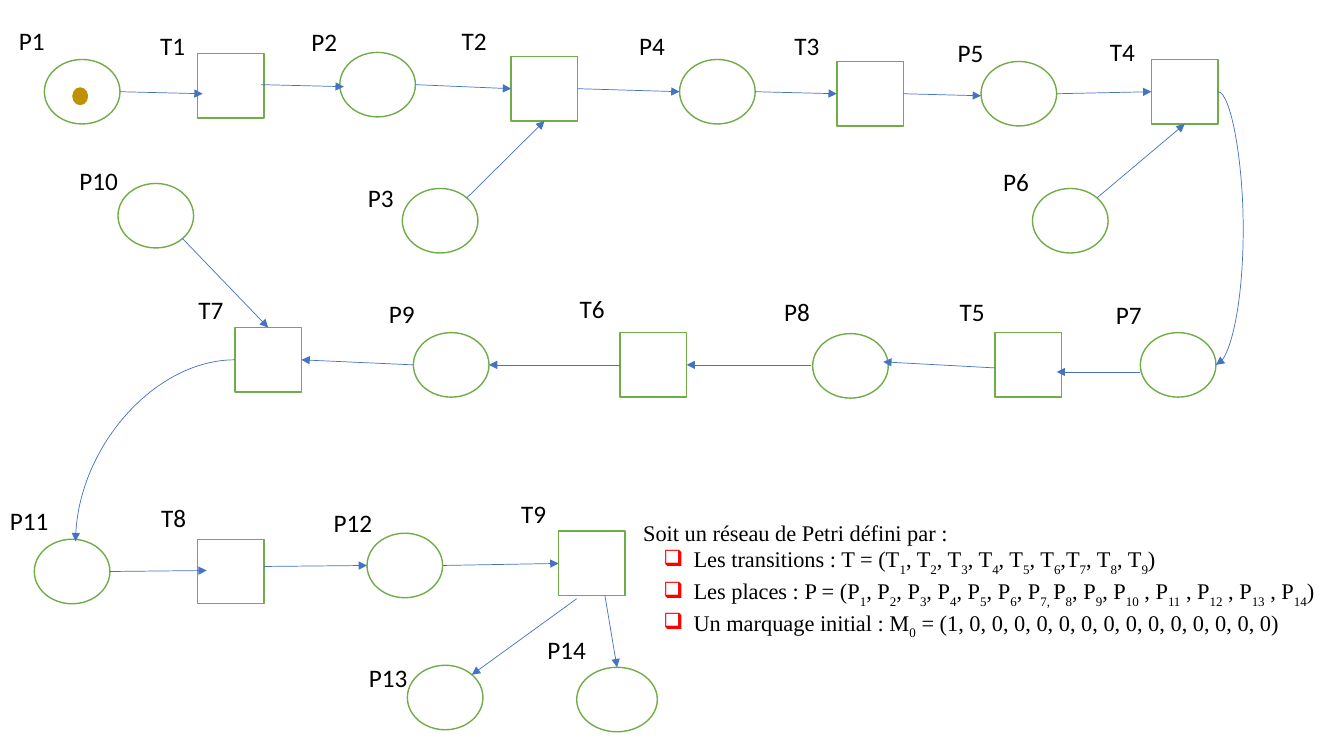
import math
import pptx
import pptx.dml.color
import pptx.enum.shapes
import pptx.enum.text
import pptx.oxml
import pptx.oxml.ns
import pptx.util
from lxml import etree

Inches = pptx.util.Inches
Pt = pptx.util.Pt
SHAPE = pptx.enum.shapes.MSO_SHAPE
CONNECTOR = pptx.enum.shapes.MSO_CONNECTOR
GREEN, BLUE, GOLD, RED = "70AD47", "4472C4", "BF9000", "FF0000"
BLACK, WHITE = "000000", "FFFFFF"
NODE_H, PLACE_W, TRANSITION_W = 0.64, 0.75, 0.66
LABEL_W, LABEL_H = 0.66, 0.4

# name: node left, node top, label left, label top
NODES = {
    "P1": (0.44, 0.59, 0.09, 0.2), "T1": (1.96, 0.53, 1.49, 0.25),
    "P2": (3.37, 0.52, 2.99, 0.21), "T2": (5.07, 0.56, 4.48, 0.2),
    "P4": (6.74, 0.59, 6.24, 0.25), "T3": (8.3, 0.61, 7.78, 0.25),
    "P5": (9.73, 0.61, 9.4, 0.32), "T4": (11.42, 0.59, 10.91, 0.31),
    "P10": (1.17, 1.82, 0.69, 1.59), "P3": (3.99, 1.87, 3.55, 1.76),
    "P6": (10.24, 1.87, 9.85, 1.6), "T7": (2.33, 3.25, 1.87, 2.87),
    "P9": (4.1, 3.3, 3.76, 2.91), "T6": (6.15, 3.3, 5.65, 2.86),
    "P8": (8.06, 3.31, 7.68, 2.89), "T5": (9.87, 3.3, 9.42, 2.89),
    "P7": (11.31, 3.3, 10.97, 2.92), "P11": (0.34, 5.35, 0, 4.96),
    "T8": (1.96, 5.35, 1.5, 4.93), "P12": (3.64, 5.29, 3.21, 4.98),
    "T9": (5.54, 5.27, 5.07, 4.89), "P13": (4.04, 6.6, 3.56, 6.52),
    "P14": (5.72, 6.62, 5.33, 6.24),
}
WIDE_PLACES = {"P14": 0.8}

SIDES = {"top": (0, -1), "left": (-1, 0), "bottom": (0, 1), "right": (1, 0),
         "upper right": (math.sqrt(0.5), -math.sqrt(0.5)),
         "lower right": (math.sqrt(0.5), math.sqrt(0.5))}
SITES = {"top": 0, "left": 1, "bottom": 2, "right": 3}

ARCS = [
    (("P1", "right"), (2.01, 0.93)),
    ((2.59, 0.84), (3.41, 0.86)),
    (("P2", "right"), ("T2", "left")),
    (("T2", "right"), ("P4", "left")),
    (("P4", "right"), ("T3", "left")),
    (("T3", "right"), (9.73, 0.95)),
    (("P5", "right"), ("T4", "left")),
    (("P3", "upper right"), ("T2", "bottom")),
    (("P6", "upper right"), ("T4", "bottom")),
    (("P10", "lower right"), ("T7", "top")),
    (("P9", "left"), ("T7", "right")),
    (("T6", "left"), ("P9", "right")),
    ((8.04, 3.62), ("T6", "right")),
    ((9.87, 3.65), (8.76, 3.59)),
    ((11.31, 3.69), (10.48, 3.69)),
    (("P11", "right"), (2.05, 5.66)),
    ((2.62, 5.62), ("P12", "left")),
    (("P12", "right"), ("T9", "left")),
    ((5.72, 5.94), ("P13", "upper right")),
    ((6, 5.91), ("P14", "top")),
]

DEFINITION_TITLE = "Soit un réseau de Petri défini par :"
DEFINITION_ITEMS = [
    "Les transitions : T = (T|1|, T|2|, T|3|, T|4|, T|5|, T|6|,T|7|, T|8|, T|9|)",
    "Les places : P = (P|1|, P|2|, P|3|, P|4|, P|5|, P|6|, P|7, |P|8|, P|9|"
    ", P|10| , P|11| , P|12| , P|13| , P|14|)",
    "Un marquage initial : M|0| = (1, 0, 0, 0, 0, 0, 0, 0, 0, 0, 0, 0, 0, 0, 0)",
]


def rgb(color):
    return pptx.dml.color.RGBColor.from_string(color)


def add_child(parent, tag, **attributes):
    return etree.SubElement(parent, pptx.oxml.ns.qn(tag), attributes)


def set_font(p, name, size):
    p.font.name = name
    p.font.size = Pt(size)
    p.font.color.rgb = rgb(BLACK)


def add_node(s, kind, x, y, w, h, fill, line, weight):
    sp = s.shapes.add_shape(kind, Inches(x), Inches(y), Inches(w), Inches(h))
    sp.shadow.inherit = False
    sp.fill.solid()
    sp.fill.fore_color.rgb = rgb(fill)
    sp.line.color.rgb = rgb(line)
    sp.line.width = Pt(weight)
    return sp


def add_text_box(s, x, y, w, h):
    sp = s.shapes.add_textbox(Inches(x), Inches(y), Inches(w), Inches(h))
    tf = sp.text_frame
    tf.word_wrap = True
    tf.auto_size = pptx.enum.text.MSO_AUTO_SIZE.SHAPE_TO_FIT_TEXT
    return tf


def add_arrow(s, kind, start, end):
    points = [Inches(v) for v in (*start, *end)]
    cxn = s.shapes.add_connector(kind, *points)
    cxn.line.color.rgb = rgb(BLUE)
    cxn.line.width = Pt(0.5)
    add_child(cxn.line._get_or_add_ln(), "a:tailEnd", type="triangle")
    add_child(cxn.element.spPr, "a:effectLst")
    return cxn


def draw_net(s, left, top):
    nodes = {}
    for name, (x, y, label_x, label_y) in NODES.items():
        is_place = name.startswith("P")
        kind = SHAPE.OVAL if is_place else SHAPE.RECTANGLE
        w = WIDE_PLACES.get(name, PLACE_W) if is_place else TRANSITION_W
        nodes[name] = add_node(s, kind, left + x, top + y, w, NODE_H, WHITE, GREEN, 1)
    add_node(s, SHAPE.OVAL, left + 0.72, top + 0.87, 0.15, 0.17, GOLD, GOLD, 0.5)

    for name, (x, y, label_x, label_y) in NODES.items():
        p = add_text_box(s, left + label_x, top + label_y, LABEL_W, LABEL_H).paragraphs[0]
        p.add_run().text = name
        set_font(p, "Calibri", 18)

    def locate(end):
        if end[0] not in nodes:
            return left + end[0], top + end[1]
        sp = nodes[end[0]]
        dx, dy = SIDES[end[1]]
        return ((sp.left + sp.width * (1 + dx) / 2) / Inches(1),
                (sp.top + sp.height * (1 + dy) / 2) / Inches(1))

    for start, end in ARCS:
        cxn = add_arrow(s, CONNECTOR.STRAIGHT, locate(start), locate(end))
        for connect, (name, side) in ((cxn.begin_connect, start), (cxn.end_connect, end)):
            if name in nodes and name.startswith("T"):
                connect(nodes[name], SITES[side])

    start, end = locate(("T4", "right")), locate(("P7", "right"))
    bend = add_arrow(s, CONNECTOR.CURVE, start, end)
    bulge = round(-0.25 / (start[0] - end[0]) * 100000)
    guides = bend.element.spPr.prstGeom.get_or_add_avLst()
    add_child(guides, "a:gd", name="adj1", fmla=f"val {bulge}")

    quarter = add_arrow(s, CONNECTOR.CURVE, locate(("T7", "left")), locate((0.75, 5.37)))
    quarter.element.spPr.prstGeom.set("prst", "curvedConnector2")


def draw_definition(s, x, y, w, h):
    tf = add_text_box(s, x, y, w, h)
    tf.vertical_anchor = pptx.enum.text.MSO_ANCHOR.MIDDLE
    p = tf.paragraphs[0]
    p.add_run().text = DEFINITION_TITLE
    set_font(p, "Times New Roman", 16)
    for item in DEFINITION_ITEMS:
        p = tf.add_paragraph()
        pPr = p._p.get_or_add_pPr()
        pPr.set("marL", str(Inches(0.5)))
        pPr.set("indent", str(Inches(-0.3)))
        add_child(add_child(pPr, "a:buClr"), "a:srgbClr", val=RED)
        add_child(pPr, "a:buChar", char="❑")
        set_font(p, "Times New Roman", 16)
        for i, piece in enumerate(item.split("|")):
            r = p.add_run()
            r.text = piece
            if i % 2:
                r.font._element.set("baseline", "-30000") if hasattr(r.font, "_element") \
                    else r._r.get_or_add_rPr().set("baseline", "-30000")


def main():
    prs = pptx.Presentation()
    prs.slide_width = Inches(13.33)
    prs.slide_height = Inches(7.5)
    s = prs.slides.add_slide(prs.slide_layouts[6])
    draw_net(s, 0, 0)
    draw_definition(s, 6.28, 5.16, 8.79, 1.18)
    prs.save("out.pptx")


if __name__ == "__main__":
    main()
